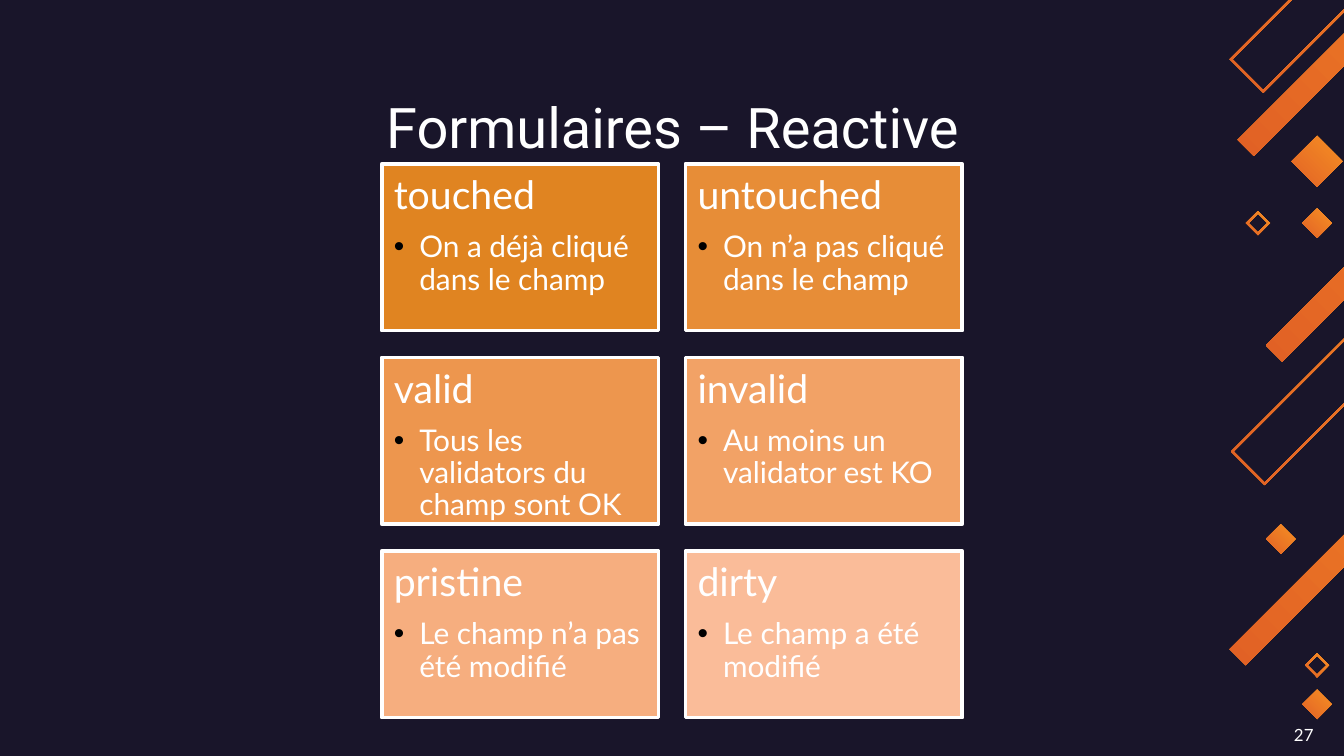
from dataclasses import dataclass

from lxml.etree import SubElement
from pptx import Presentation
from pptx.dml.color import RGBColor
from pptx.enum.shapes import MSO_SHAPE as Preset
from pptx.enum.text import MSO_ANCHOR as Anchor, PP_ALIGN as Align
from pptx.oxml.ns import qn
from pptx.util import Inches, Pt

WHITE = "FFFFFF"
BLACK = "000000"
NIGHT = "19152A"
LIGHT_ORANGE = "F79124"
DARK_ORANGE = "E16125"

SLIDE_WIDTH = Inches(10)
SLIDE_HEIGHT = SLIDE_WIDTH * 9 // 16
CARD_LEFT, CARD_TOP = 2.84, 1.22
CARD_WIDTH, CARD_HEIGHT = 2.06, 1.24
CARD_GAP = 0.2
COLUMNS = 2
CARD_INSET = 0.09
BULLET_INDENT = 0.19
FRAME_THICKNESS = 0.02


@dataclass
class Card:
    heading: str
    detail: str
    fill: str


@dataclass
class Ornament:
    left: float
    middle: float
    rise: float
    fall: float
    hollow: bool = False


CARDS = [
    Card("touched", "On a déjà cliqué dans le champ", "E08421"),
    Card("untouched", "On n’a pas cliqué dans le champ", "E78D37"),
    Card("valid", "Tous les validators du champ sont OK", "ED964E"),
    Card("invalid", "Au moins un validator est KO", "F2A266"),
    Card("pristine", "Le champ n’a pas été modifié", "F6AE7F"),
    Card("dirty", "Le champ a été modifié", "FABC99"),
]

ORNAMENTS = [
    Ornament(9.15, 0.44, 1.95, 0.25, hollow=True),
    Ornament(9.21, 1.04, 2.35, 0.12),
    Ornament(9.61, 1.2, 0.19, 0.19),
    Ornament(9.71, 4.95, 0.09, 0.09, hollow=True),
    Ornament(9.27, 1.66, 0.09, 0.09, hollow=True),
    Ornament(9.16, 3.36, 1.95, 0.25, hollow=True),
    Ornament(9.15, 4.83, 2.35, 0.12),
    Ornament(9.42, 2.57, 2.35, 0.12),
    Ornament(9.69, 5.24, 0.11, 0.11),
    Ornament(9.69, 1.66, 0.11, 0.11),
    Ornament(9.42, 4.01, 0.11, 0.11),
]


def color(value: str) -> RGBColor:
    return RGBColor.from_string(value)


def set_values(target, values: dict) -> None:
    for name, value in values.items():
        setattr(target, name, value)


def write(paragraph, text: str, font: str, size: float, values: dict) -> None:
    set_values(paragraph, values)
    run = paragraph.add_run()
    run.text = text
    set_values(run.font, {"name": font, "size": Pt(size)})
    run.font.color.rgb = color(WHITE)


def set_frame(frame, inset: float) -> None:
    sides = ("left", "top", "right", "bottom")
    margins = {f"margin_{side}": Inches(inset) for side in sides}
    set_values(frame, {"word_wrap": True, "vertical_anchor": Anchor.TOP, **margins})


def add_bullet(paragraph) -> None:
    properties = paragraph._p.get_or_add_pPr()
    properties.set("marL", str(Inches(BULLET_INDENT)))
    properties.set("indent", str(-Inches(BULLET_INDENT)))
    bullet_color = SubElement(properties, qn("a:buClr"))
    SubElement(bullet_color, qn("a:srgbClr"), val=BLACK)
    SubElement(properties, qn("a:buFont"), typeface="Arial")
    SubElement(properties, qn("a:buChar"), char="•")


def corners(ornament: Ornament, inset: float = 0) -> list[tuple[int, int]]:
    x, y = ornament.left + inset, ornament.middle
    rise, fall = ornament.rise - inset, ornament.fall - inset
    points = [
        (x, y),
        (x + rise, y - rise),
        (x + rise + fall, y - rise + fall),
        (x + fall, y + fall),
    ]
    return [(Inches(across), Inches(down)) for across, down in points]


def draw_ornament(slide, ornament: Ornament) -> None:
    outer = corners(ornament)
    builder = slide.shapes.build_freeform(*outer[0])
    builder.add_line_segments(outer[1:], close=True)
    if ornament.hollow:
        hole = corners(ornament, FRAME_THICKNESS)[::-1]
        builder.move_to(*hole[0])
        builder.add_line_segments(hole[1:], close=True)
    shape = builder.convert_to_shape()
    shape.shadow.inherit = False
    shape.line.fill.background()
    shape.fill.gradient()
    shape.fill.gradient_angle = 225
    for stop, value in zip(shape.fill.gradient_stops, (LIGHT_ORANGE, DARK_ORANGE)):
        stop.color.rgb = color(value)


def draw_text(slide, box: tuple, text: str, font: str, size: float, align: Align) -> None:
    shape = slide.shapes.add_textbox(*map(Inches, box))
    set_frame(shape.text_frame, 0.1)
    write(shape.text_frame.paragraphs[0], text, font, size, {"alignment": align})


def draw_card(slide, index: int, card: Card) -> None:
    row, column = divmod(index, COLUMNS)
    left = CARD_LEFT + column * (CARD_WIDTH + CARD_GAP)
    top = CARD_TOP + row * (CARD_HEIGHT + CARD_GAP)
    box = map(Inches, (left, top, CARD_WIDTH, CARD_HEIGHT))
    shape = slide.shapes.add_shape(Preset.RECTANGLE, *box)
    shape.shadow.inherit = False
    shape.fill.solid()
    shape.fill.fore_color.rgb = color(card.fill)
    shape.line.color.rgb = color(WHITE)
    shape.line.width = Pt(2)

    frame = shape.text_frame
    set_frame(frame, CARD_INSET)
    layout = {"alignment": Align.LEFT, "line_spacing": 0.9}
    write(frame.paragraphs[0], card.heading, "Lato", 21, {**layout, "space_after": Pt(7.35)})
    detail = frame.add_paragraph()
    write(detail, card.detail, "Lato", 16, {**layout, "space_after": Pt(2.4), "level": 1})
    add_bullet(detail)


def main() -> None:
    presentation = Presentation()
    set_values(presentation, {"slide_width": SLIDE_WIDTH, "slide_height": SLIDE_HEIGHT})
    slide = presentation.slides.add_slide(presentation.slide_layouts[6])
    slide.background.fill.solid()
    slide.background.fill.fore_color.rgb = color(NIGHT)

    draw_text(slide, (9.53, 5.32, 0.53, 0.25), "27", "Lato", 9, Align.LEFT)
    for ornament in ORNAMENTS:
        draw_ornament(slide, ornament)
    draw_text(slide, (0.66, 0.59, 8.69, 0.63), "Formulaires – Reactive", "Roboto", 30, Align.CENTER)
    for index, card in enumerate(CARDS):
        draw_card(slide, index, card)

    presentation.save("out.pptx")


if __name__ == "__main__":
    main()
